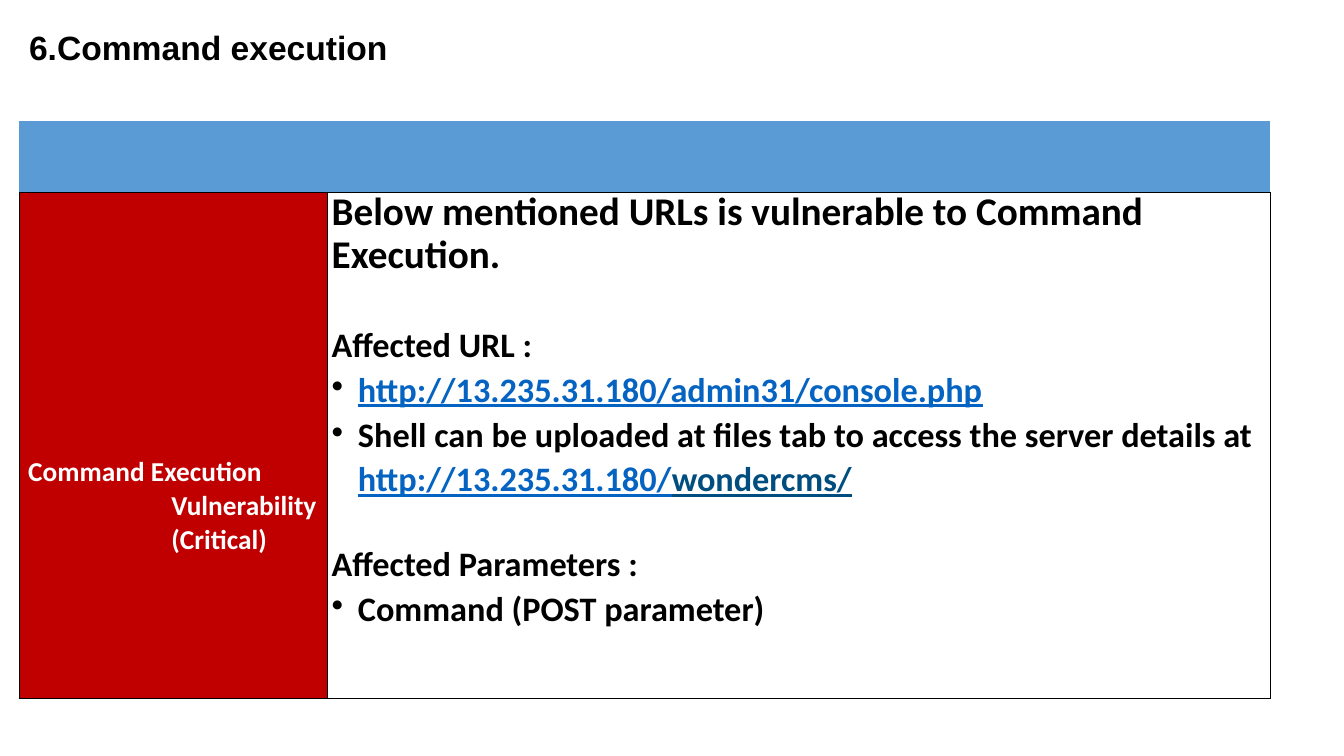
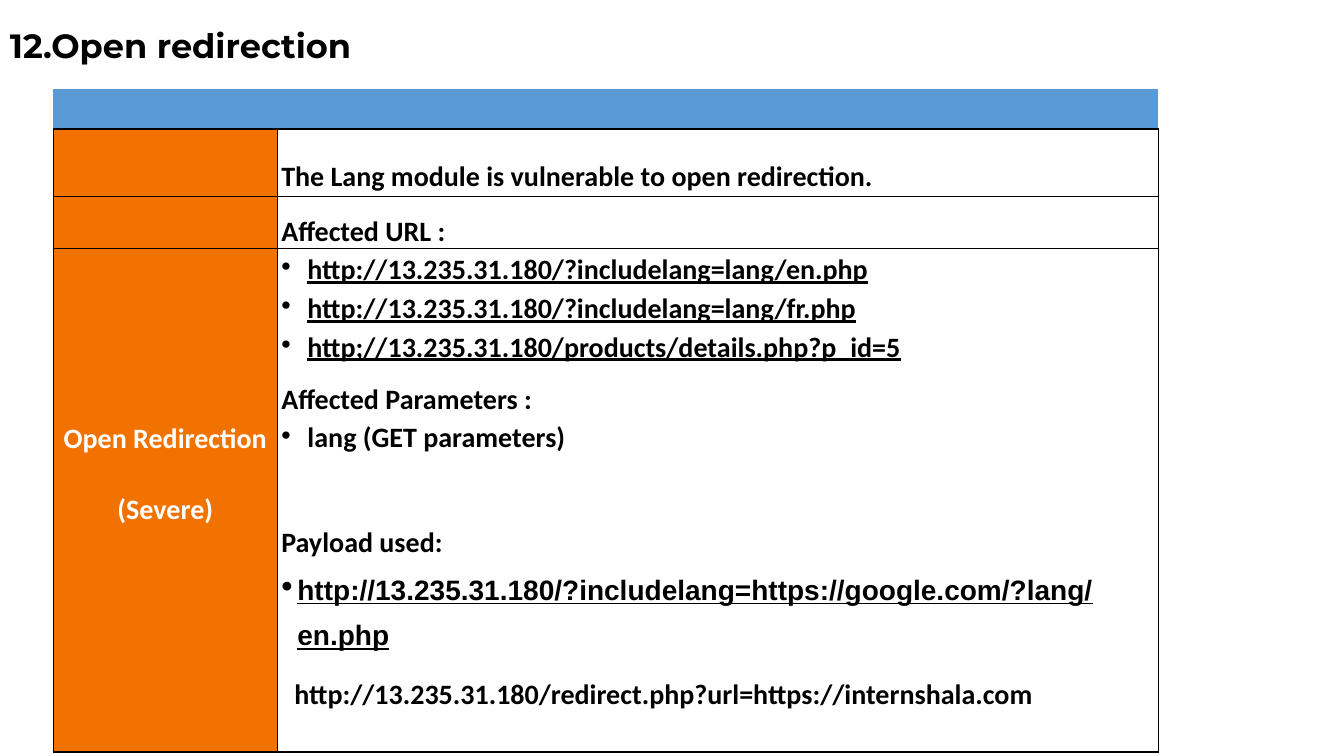
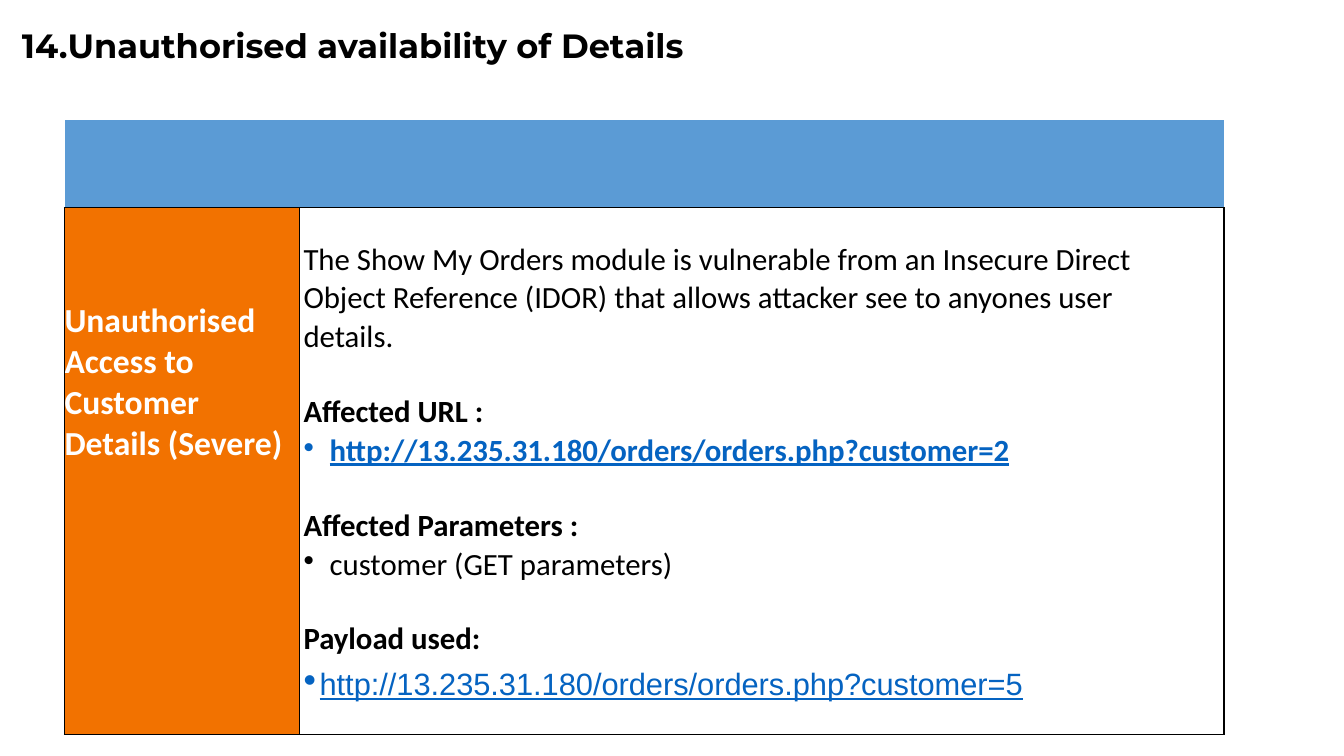
"""Build three vulnerability report slides, each a title above a finding table."""
from lxml.etree import SubElement
from pptx import Presentation
from pptx.dml.color import RGBColor as Rgb
from pptx.enum.text import MSO_ANCHOR as Anchor, PP_ALIGN as Align
from pptx.oxml.ns import qn
from pptx.util import Inches, Pt

THEME = {
    "black": "000000", "white": "FFFFFF", "header": "5B9BD5", "critical": "C00000",
    "severe": "F27200", "link": "0563C1", "visited": "004D7F",
    "body_font": "Calibri", "link_font": "Arial", "title_size": 24, "border": 1,
    "title_top": 0.22, "title_height": 0.5,
    "plain_table": "{2D5ABB26-0587-4C30-8999-92F81FD0307C}",
}
STYLES = {
    "label": {"color": "white"},
    "center": {"color": "white", "align": Align.CENTER},
    "text": {"left": 0.04},
    "bullet": {"left": 0.3, "hang": -0.26, "bullet": 100},
    "payload": {"left": 0.2, "hang": -0.16, "bullet": 120, "font": "link_font"},
}
LINK = {"color": "link", "underline": True}
UNDERLINED = {"underline": True}
EMPTY = {"paras": []}


def cell_of(*paras, top=0, right=0):
    """Describe a cell by its paragraphs and margins."""
    return {"paras": paras, "top": top, "right": right}


PAGES = [
    {
        "title": {"text": "6.Command execution", "left": 0.19, "width": 8.06, "font": "Arial", "ratio": 1},
        "table": (0.19, 1.2), "columns": (3.06, 9.35), "header": 0.71,
        "accent": "critical", "size": 24.5, "rules": (0, 1),
        "rows": [(
            5.02,
            cell_of(("label", "Command Execution Vulnerability (Critical)",
                     {"size": 19.5, "left": 1.51, "hang": -1.42, "ratio": 1.02}), top=2.6),
            cell_of(
                ("text", "Below mentioned URLs is vulnerable to Command Execution.",
                 {"size": 28, "pitch": 30.9}),
                ("text", "Affected URL :", {"before": 32.9}),
                ("bullet", "http://13.235.31.180/admin31/console.php",
                 {**LINK, "before": 1.9, "bullet_color": "black"}),
                ("bullet", [
                    ("Shell can be uploaded at files tab to access the server details at ", {}),
                    ("http://13.235.31.180/", LINK),
                    ("wondercms/", {"color": "visited", "underline": True}),
                ], {"pitch": 31.3, "before": 1.4}),
                ("text", "Affected Parameters :", {"before": 30.7}),
                ("bullet", "Command (POST parameter)", {"before": 1.9}),
            ),
        )],
    },
    {
        "title": {"text": "12.Open redirection", "left": 0, "width": 11.5, "font": "Montserrat", "ratio": 0.9},
        "table": (0.53, 0.88), "columns": (2.22, 8.74), "header": 0.4,
        "accent": "severe", "size": 20, "rules": (0, 1, 11),
        "rows": [
            (0.67, EMPTY, cell_of(("text", "The Lang module is vulnerable to open redirection.", {}), top=0.31)),
            (0.51, EMPTY, cell_of(("text", "Affected URL :", {}), top=0.18)),
            (0.39, EMPTY, cell_of(("bullet", "http://13.235.31.180/?includelang=lang/en.php",
                                   {**UNDERLINED, "pitch": 27.9}))),
            (0.76, EMPTY, cell_of(
                ("bullet", "http://13.235.31.180/?includelang=lang/fr.php", {**UNDERLINED, "pitch": 27.5}),
                ("bullet", "http;//13.235.31.180/products/details.php?p_id=5", {**UNDERLINED, "pitch": 27.5}))),
            (0.51, EMPTY, cell_of(("text", "Affected Parameters :", {}), top=0.18)),
            (0.72, cell_of(("center", "Open Redirection", {}), top=0.05),
             cell_of(("bullet", "lang (GET parameters)", {"pitch": 27.9}))),
            (0.38, cell_of(("center", "(Severe)", {"pitch": 27.1})), EMPTY),
            (0.33, EMPTY, cell_of(("text", "Payload used:", {"pitch": 23.6}))),
            (0.91, EMPTY, cell_of(("payload", "http://13.235.31.180/?includelang=https://google.com/?lang/en.php",
                                   {**UNDERLINED, "pitch": 32.6}))),
            (0.6, EMPTY, cell_of(("text", "http://13.235.31.180/redirect.php?url=https://internshala.com",
                                  {"left": 0.17}), top=0.25)),
            (0.39, EMPTY, EMPTY),
        ],
    },
    {
        "title": {"text": "14.Unauthorised availability of Details", "left": 0.12, "width": 11.5,
                  "font": "Montserrat", "ratio": 0.9},
        "table": (0.64, 1.19), "columns": (2.33, 9.17), "header": 0.87,
        "accent": "severe", "size": 22, "rules": (0, 1),
        "rows": [(
            5.23,
            cell_of(("label", "Unauthorised Access to Customer Details (Severe)", {"size": 24}),
                    top=0.92, right=0.05),
            cell_of(
                ("text", "The Show My Orders module is vulnerable from an Insecure Direct Object "
                         "Reference (IDOR) that allows attacker see to anyones user details.",
                 {"bold": False, "ratio": 1.03}),
                ("text", "Affected URL :", {"before": 27}),
                ("bullet", "http://13.235.31.180/orders/orders.php?customer=2", {**LINK, "before": 0.8}),
                ("text", "Affected Parameters :", {"before": 27}),
                ("bullet", "customer (GET parameters)", {"bold": False, "before": 0.8}),
                ("text", "Payload used:", {"before": 27, "pitch": 26}),
                ("payload", "http://13.235.31.180/orders/orders.php?customer=5",
                 {**LINK, "bold": False, "pitch": 32}),
                top=0.32, right=0.3),
        )],
    },
]


def set_all(target, values):
    """Set attributes from a dict."""
    for name, value in values.items():
        setattr(target, name, value)


def paint(cell, color):
    """Fill a cell with a theme colour."""
    cell.fill.solid()
    cell.fill.fore_color.rgb = Rgb.from_string(THEME[color])


def add_borders(cell, sides):
    """Draw black lines on the given sides of a cell."""
    props = cell._tc.get_or_add_tcPr()
    for side in sides:
        line = SubElement(props, qn(f"a:ln{side}"), w=str(Pt(THEME["border"])))
        SubElement(SubElement(line, qn("a:solidFill")), qn("a:srgbClr"), val=THEME["black"])


def add_bullet(para, look):
    """Give a paragraph a round bullet."""
    props = para._p.get_or_add_pPr()
    if "bullet_color" in look:
        SubElement(SubElement(props, qn("a:buClr")), qn("a:srgbClr"), val=THEME[look["bullet_color"]])
    SubElement(props, qn("a:buSzPct"), val=str(look["bullet"] * 1000))
    SubElement(props, qn("a:buChar"), char="•")


def write_para(para, style, content, extra, size):
    """Write one styled paragraph made of one or more spans."""
    base = {"size": size, "color": "black", "font": "body_font", "bold": True, "underline": False}
    look = {**base, **STYLES[style], **extra}
    props = para._p.get_or_add_pPr()
    props.set("marL", str(Inches(look.get("left", 0))))
    props.set("indent", str(Inches(look.get("hang", 0))))
    if "bullet" in look:
        add_bullet(para, look)
    spacing = Pt(look["pitch"]) if "pitch" in look else look.get("ratio", 1.0)
    set_all(para, {"alignment": look.get("align", Align.LEFT), "line_spacing": spacing})
    if "before" in look:
        para.space_before = Pt(look["before"])
    for text, change in [(content, {})] if isinstance(content, str) else content:
        span_look = {**look, **change}
        span = para.add_run()
        span.text = text
        set_all(span.font, {"name": THEME[span_look["font"]], "size": Pt(span_look["size"]),
                            "bold": span_look["bold"], "underline": span_look["underline"]})
        span.font.color.rgb = Rgb.from_string(THEME[span_look["color"]])


def fill_cell(cell, content, size):
    """Write the margins and paragraphs of a cell."""
    set_all(cell, {"margin_left": 0, "margin_bottom": 0, "margin_top": Inches(content.get("top", 0)),
                   "margin_right": Inches(content.get("right", 0))})
    frame = cell.text_frame
    for index, (style, text, extra) in enumerate(content["paras"]):
        para = frame.add_paragraph() if index else frame.paragraphs[0]
        write_para(para, style, text, extra, size)


def add_title(page, title):
    """Add the slide title."""
    place = (title["left"], THEME["title_top"], title["width"], THEME["title_height"])
    frame = page.shapes.add_textbox(*map(Inches, place)).text_frame
    set_all(frame, {"word_wrap": True, "vertical_anchor": Anchor.MIDDLE})
    para = frame.paragraphs[0]
    para.line_spacing = float(title["ratio"])
    span = para.add_run()
    span.text = title["text"]
    set_all(span.font, {"name": title["font"], "size": Pt(THEME["title_size"]), "bold": True})
    span.font.color.rgb = Rgb.from_string(THEME["black"])


def add_finding(page, finding):
    """Add the table with its header band, label column and details."""
    heights = [finding["header"]] + [row[0] for row in finding["rows"]]
    columns, rules = finding["columns"], finding["rules"]
    place = (*finding["table"], sum(columns), sum(heights))
    table = page.shapes.add_table(len(heights), len(columns), *map(Inches, place)).table
    set_all(table, {"first_row": False, "horz_banding": False})
    table._tbl.tblPr.find(qn("a:tableStyleId")).text = THEME["plain_table"]
    for column, width in zip(table.columns, columns):
        column.width = Inches(width)
    for row, height in zip(table.rows, heights):
        row.height = Inches(height)
    for index, cell in enumerate(table.rows[0].cells):
        add_borders(cell, "B")
        paint(cell, "header")
        fill_cell(cell, EMPTY, finding["size"])
    table.cell(0, 0).merge(table.cell(0, 1))
    for number, (_, *contents) in enumerate(finding["rows"], 1):
        sides = "LR" + "T" * (number - 1 in rules) + "B" * (number in rules)
        for index, (content, color) in enumerate(zip(contents, (finding["accent"], "white"))):
            cell = table.cell(number, index)
            add_borders(cell, sides)
            paint(cell, color)
            fill_cell(cell, content, finding["size"])


def main():
    """Build and save the deck."""
    deck = Presentation()
    set_all(deck, {"slide_width": Inches(13.33), "slide_height": Inches(7.5)})
    for finding in PAGES:
        page = deck.slides.add_slide(deck.slide_layouts[6])
        add_title(page, finding["title"])
        add_finding(page, finding)
    deck.save("out.pptx")


if __name__ == "__main__":
    main()
